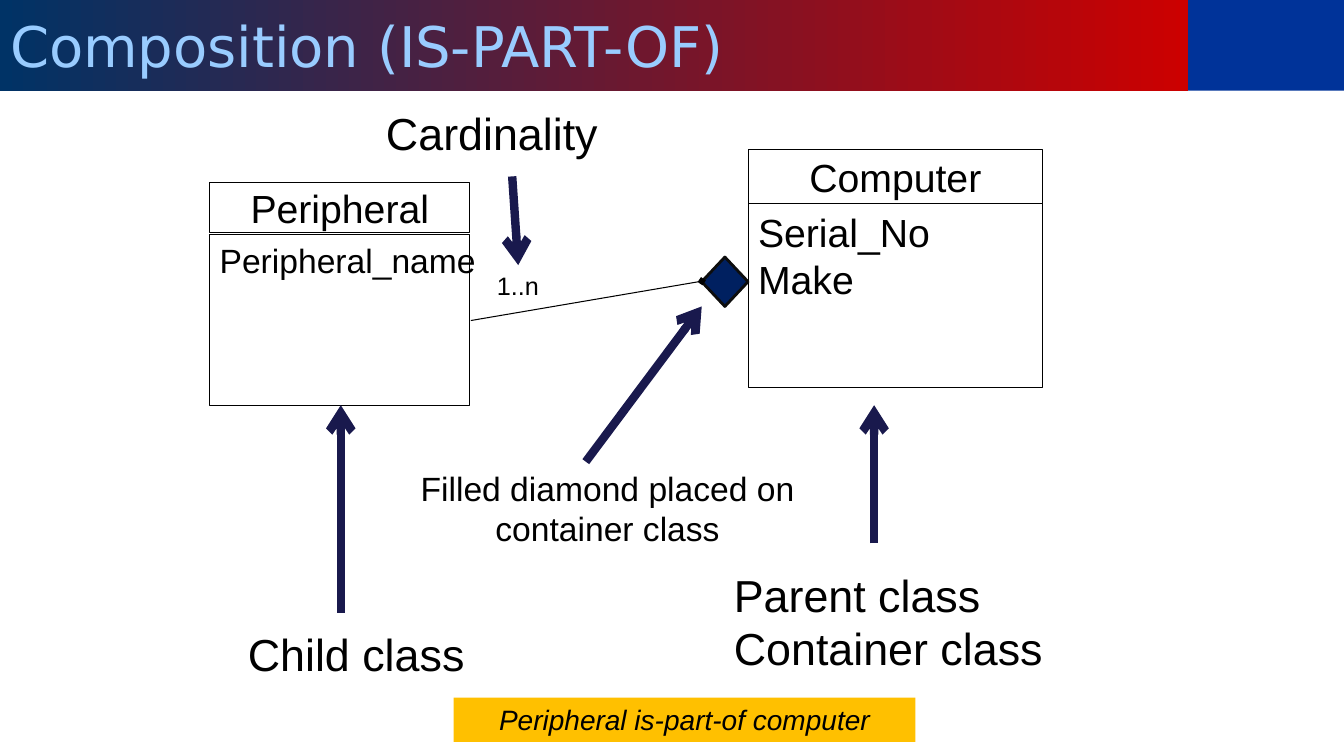
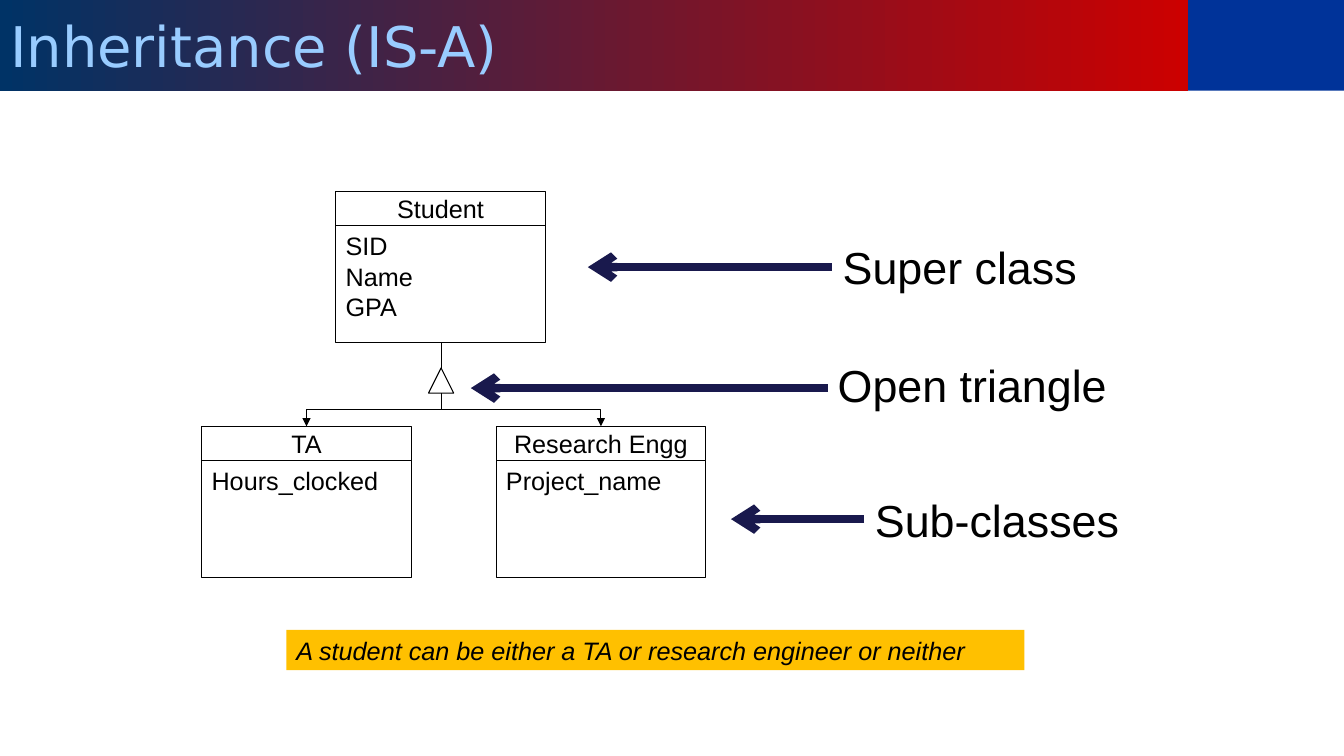
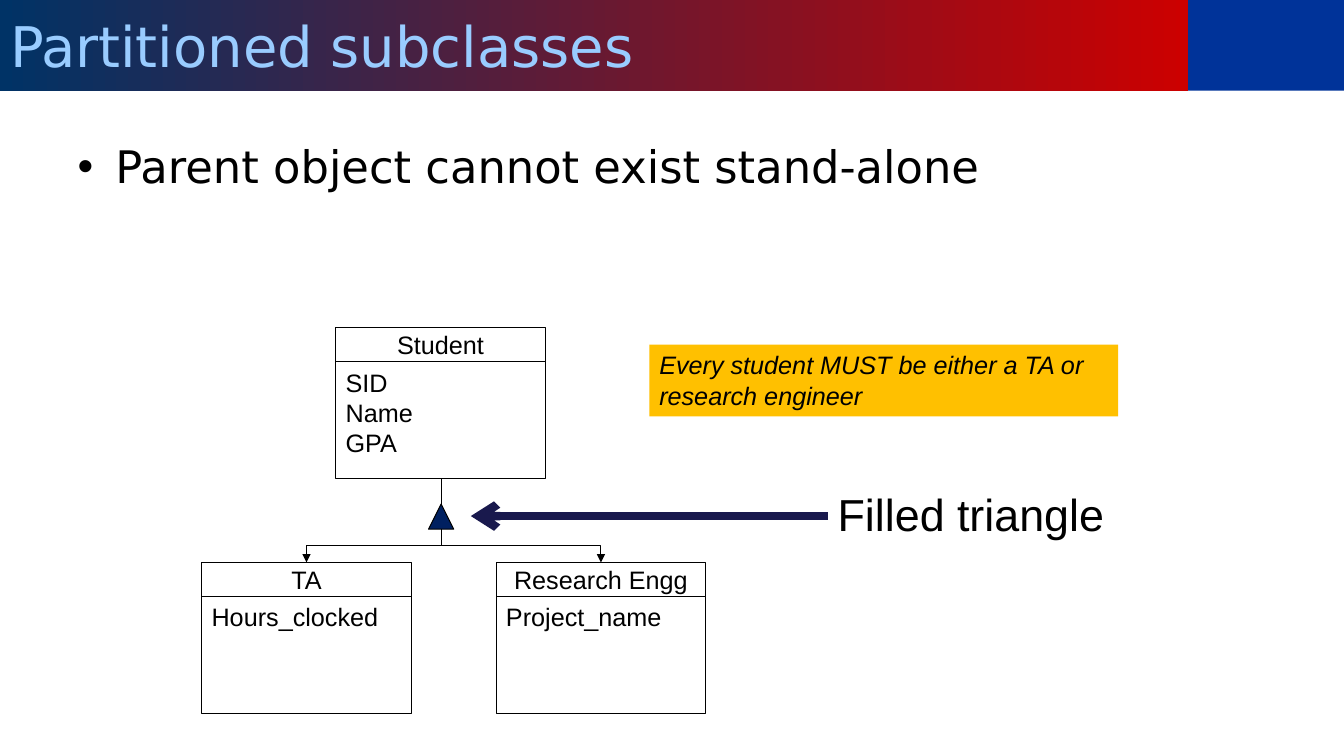
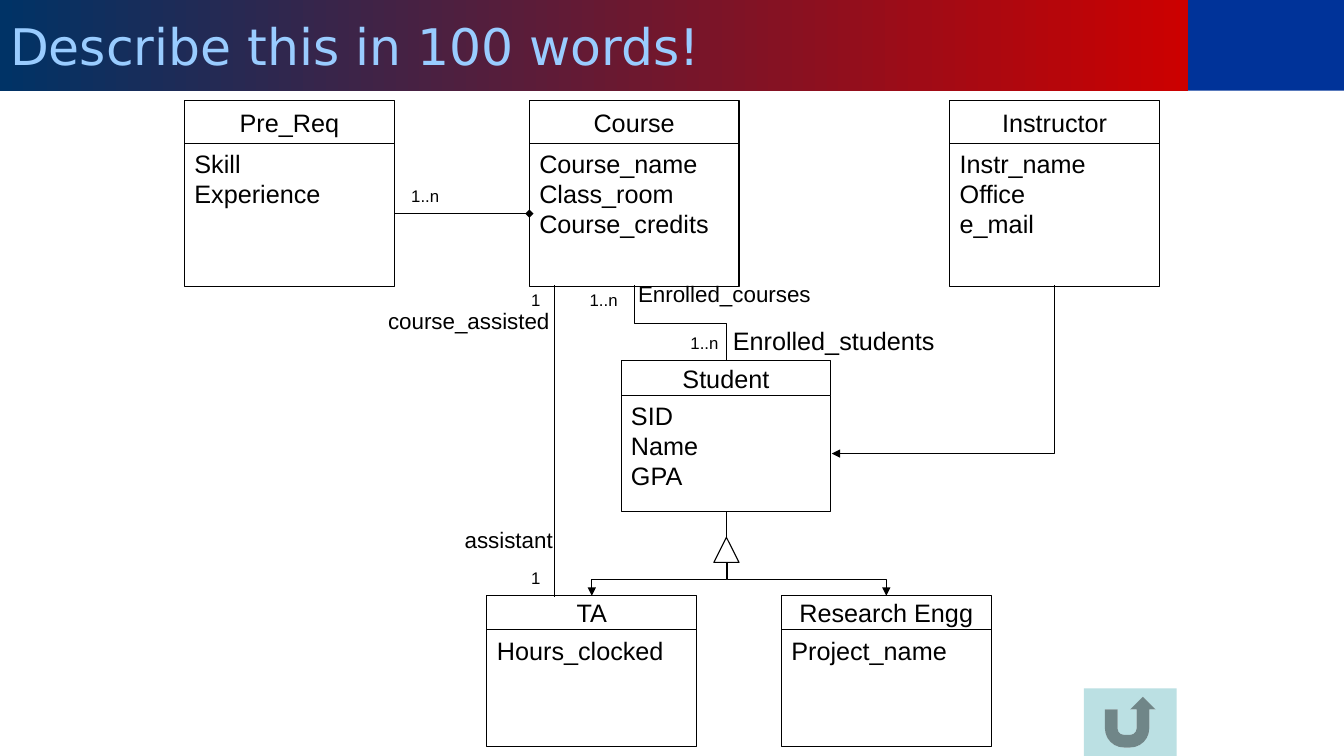
from lxml import etree
from pptx import Presentation
from pptx.dml.color import RGBColor
from pptx.enum.shapes import MSO_CONNECTOR, MSO_SHAPE
from pptx.enum.text import MSO_ANCHOR, MSO_AUTO_SIZE, PP_ALIGN
from pptx.oxml.ns import qn
from pptx.text.text import Font
from pptx.util import Inches, Pt

BLACK = RGBColor(0x00, 0x00, 0x00)
WHITE = RGBColor(0xFF, 0xFF, 0xFF)
NAVY = RGBColor(0x00, 0x20, 0x60)
NEAR_BLACK = RGBColor(0x0D, 0x0D, 0x0D)
POINTER = RGBColor(0x19, 0x19, 0x4D)
AMBER = RGBColor(0xFF, 0xC0, 0x00)
BUTTON = RGBColor(0xBB, 0xE0, 0xE3)
CORNER = RGBColor(0x00, 0x33, 0x99)
BAND_START = RGBColor(0x00, 0x33, 0x66)
BAND_END = RGBColor(0xCC, 0x00, 0x00)
TITLE_TEXT = RGBColor(0x99, 0xCC, 0xFF)

RECTANGLE = MSO_SHAPE.RECTANGLE
LEFT, CENTER = PP_ALIGN.LEFT, PP_ALIGN.CENTER
TOP, MIDDLE = MSO_ANCHOR.TOP, MSO_ANCHOR.MIDDLE
STRAIGHT, ELBOW = MSO_CONNECTOR.STRAIGHT, MSO_CONNECTOR.ELBOW

HEADING_FONT = "DejaVu Sans"
DIAGRAM_FONT = "Arial"
BAND_WIDTH, BAND_HEIGHT = 11.78, 0.9
CLASS_WIDTH = 2.08


def write_text(shape, text, size, align=LEFT, anchor=TOP, wrap=False, italic=False):
    frame = shape.text_frame
    frame.text = text
    frame.word_wrap = wrap
    frame.vertical_anchor = anchor
    for paragraph in frame.paragraphs:
        paragraph.alignment = align
        paragraph.font.name = DIAGRAM_FONT
        paragraph.font.size = Pt(size)
        paragraph.font.italic = italic
        paragraph.font.color.rgb = BLACK


def draw_line(slide, start, end, color=BLACK, width=0.75, head=None, tail=None, bend=None):
    """Draw a straight line, or with bend (a preset name) an elbow that leaves downwards."""
    (x1, y1), (x2, y2) = start, end
    if bend:
        # The elbow is laid out sideways about its centre, then turned upright.
        mid_x, mid_y = (x1 + x2) / 2, (y1 + y2) / 2
        half_run, half_rise = abs(x2 - x1) / 2, (y2 - y1) / 2
        mirror = -1 if x2 > x1 else 1
        x1, x2 = mid_x - mirror * half_rise, mid_x + mirror * half_rise
        y1, y2 = mid_y - half_run, mid_y + half_run
    line = slide.shapes.add_connector(
        ELBOW if bend else STRAIGHT, Inches(x1), Inches(y1), Inches(x2), Inches(y2))
    line.line.color.rgb = color
    line.line.width = Pt(width)
    properties = line.element.spPr
    if bend:
        properties.find(qn("a:prstGeom")).set("prst", bend)
        properties.find(qn("a:xfrm")).set("rot", str((90 if mirror == 1 else 270) * 60000))
    for tag, kind in (("a:headEnd", head), ("a:tailEnd", tail)):
        if kind:
            etree.SubElement(properties.find(qn("a:ln")), qn(tag), type=kind)
    etree.SubElement(properties, qn("a:effectLst"))


prs = Presentation()
prs.slide_width, prs.slide_height = Inches(13.33), Inches(7.5)

# Shared title band, body area and text styles
master = prs.slide_master
title_area, body_area = master.placeholders[0], master.placeholders[1]
for area, (x, y, w, h) in ((title_area, (0, 0, BAND_WIDTH, BAND_HEIGHT)),
                           (body_area, (0.67, 1.33, 12, 5.37))):
    area.left, area.top, area.width, area.height = Inches(x), Inches(y), Inches(w), Inches(h)
title_area.fill.gradient()
title_area.fill.gradient_angle = 0
for stop, color in zip(title_area.fill.gradient_stops, (BAND_START, BAND_END)):
    stop.color.rgb = color

styles = master.element.find(qn("p:txStyles"))
title_level = styles.find(qn("p:titleStyle")).find(qn("a:lvl1pPr"))
title_level.set("algn", "l")
title_font = Font(title_level.find(qn("a:defRPr")))
title_font.name, title_font.size = HEADING_FONT, Pt(40)
title_font.color.rgb = TITLE_TEXT
body_level = styles.find(qn("p:bodyStyle")).find(qn("a:lvl1pPr"))
Font(body_level.find(qn("a:defRPr"))).name = HEADING_FONT

title_only, title_and_body = prs.slide_layouts[5], prs.slide_layouts[1]
slides = []
for title, layout in (("Composition (IS-PART-OF)", title_only),
                      ("Inheritance (IS-A)", title_only),
                      ("Partitioned subclasses", title_and_body),
                      ("Describe this in 100 words!", title_only)):
    slide = prs.slides.add_slide(layout)
    slide.shapes.title.text = title
    slides.append(slide)
composition, inheritance, partition, exercise = slides
exercise.shapes.title.text_frame.paragraphs[0].font.size = Pt(36)
partition.placeholders[1].text = "Parent object cannot exist stand-alone"

# The corner block goes behind everything on the master
corner = composition.shapes.add_shape(
    RECTANGLE, Inches(BAND_WIDTH), 0, Inches(1.56), Inches(BAND_HEIGHT))
corner.shadow.inherit = False
corner.fill.solid()
corner.fill.fore_color.rgb = CORNER
corner.line.fill.background()
master.shapes.element.insert(2, corner.element)

# Classes: slide, name, attributes, left, top, width,
# name height, attributes offset and height, name size, attributes size
classes = [
    (composition, "Computer", "Serial_No\nMake", 7.42, 1.48, 2.92, 0.54, 0.54, 1.82, 28, 28),
    (composition, "Peripheral", "Peripheral_name", 2.08, 1.81, 2.58, 0.5, 0.52, 1.69, 28, 24),
]
for name, attributes, left in (("Course", "Course_name\nClass_room\nCourse_credits", 5.25),
                               ("Instructor", "Instr_name\nOffice\ne_mail", 9.42),
                               ("Pre_Req", "Skill\nExperience", 1.83)):
    classes.append((exercise, name, attributes, left, 1, CLASS_WIDTH, 0.42, 0.42, 1.42, 18, 18))

# Student hierarchies: slide, left, top, triangle fill
hierarchies = [(inheritance, 2, 1.9, None), (partition, 2, 3.25, NAVY),
               (exercise, 4.83, 3.58, None)]
for slide, left, top, _ in hierarchies:
    for name, attributes, dx, dy in (("Student", "SID\nName\nGPA", 1.33, 0),
                                     ("TA", "Hours_clocked", 0, 2.33),
                                     ("Research Engg", "Project_name", 2.92, 2.33)):
        classes.append((slide, name, attributes, left + dx, top + dy, CLASS_WIDTH,
                        0.34, 0.34, 1.16, 18, 18))

for (slide, name, attributes, left, top, width, name_height,
     offset, attributes_height, name_size, attributes_size) in classes:
    for text, y, height, size, align, anchor in (
            (name, top, name_height, name_size, CENTER, MIDDLE),
            (attributes, top + offset, attributes_height, attributes_size, LEFT, TOP)):
        section = slide.shapes.add_shape(
            RECTANGLE, Inches(left), Inches(y), Inches(width), Inches(height))
        section.shadow.inherit = False
        section.fill.solid()
        section.fill.fore_color.rgb = WHITE
        section.line.color.rgb = BLACK
        section.line.width = Pt(0.75)
        write_text(section, text, size, align, anchor)

# Symbols: slide, preset, left, top, width, height, fill, line colour, line width
symbols = [
    (composition, MSO_SHAPE.DIAMOND, 6.96, 2.55, 0.46, 0.49, NAVY, NEAR_BLACK, 2),
    (exercise, MSO_SHAPE.ACTION_BUTTON_RETURN, 10.75, 6.83, 0.92, 0.67, BUTTON, None, 0),
]
for slide, left, top, fill in hierarchies:
    axis, tip, fork = left + 2.38, top + 1.75, top + 2
    symbols.append((slide, MSO_SHAPE.ISOSCELES_TRIANGLE, axis - 0.13, tip, 0.25, 0.25,
                    fill, BLACK, 0.75))
    draw_line(slide, (axis, top + 1.5), (axis, tip))
    for child_axis in (left + 1.04, left + 3.96):
        draw_line(slide, (axis, fork), (child_axis, top + 2.33),
                  tail="triangle", bend="bentConnector3")

for slide, preset, left, top, width, height, fill, line_color, line_width in symbols:
    symbol = slide.shapes.add_shape(
        preset, Inches(left), Inches(top), Inches(width), Inches(height))
    symbol.shadow.inherit = False
    if fill is None:
        symbol.fill.background()
    else:
        symbol.fill.solid()
        symbol.fill.fore_color.rgb = fill
    if line_color is None:
        symbol.line.fill.background()
    else:
        symbol.line.color.rgb = line_color
        symbol.line.width = Pt(line_width)

# Associations
draw_line(composition, (6.96, 2.79), (4.67, 3.18), head="diamond")
draw_line(exercise, (5.25, 2.12), (3.92, 2.12), head="diamond")
draw_line(exercise, (5.5, 5.92), (5.5, 2.83))
draw_line(exercise, (6.29, 2.83), (7.21, 3.58), bend="bentConnector3")
draw_line(exercise, (10.46, 2.83), (8.25, 4.5), tail="triangle", bend="bentConnector2")

# Thick pointers from the explanations to the diagram
for slide, start, end in (
        (composition, (3.38, 6.08), (3.38, 4.02)),
        (composition, (8.67, 5.39), (8.67, 4.02)),
        (composition, (5.81, 4.58), (6.96, 3.04)),
        (composition, (5.08, 1.75), (5.14, 2.63)),
        (inheritance, (8.25, 2.65), (5.83, 2.65)),
        (inheritance, (8.57, 5.15), (7.25, 5.15)),
        (inheritance, (8.21, 3.85), (4.67, 3.85)),
        (partition, (8.21, 5.12), (4.67, 5.12))):
    draw_line(slide, start, end, POINTER, 6, tail="arrow")

# One-line labels: slide, text, left, top, width, height, size
for slide, text, left, top, width, height, size in (
        (composition, "1..n", 4.83, 2.63, 0.62, 0.4, 18),
        (composition, "Parent class\nContainer class", 7.18, 5.58, 3.29, 1.18, 32),
        (composition, "Child class", 2.36, 6.17, 2.37, 0.64, 32),
        (composition, "Cardinality", 3.73, 1, 2.32, 0.64, 32),
        (inheritance, "Super class", 8.26, 2.33, 2.54, 0.64, 32),
        (inheritance, "Sub-classes", 8.58, 4.84, 2.64, 0.64, 32),
        (inheritance, "Open triangle", 8.21, 3.5, 2.89, 0.64, 32),
        (partition, "Filled triangle", 8.21, 4.78, 2.87, 0.64, 32),
        (exercise, "Enrolled_students", 7.17, 3.18, 2.2, 0.4, 18),
        (exercise, "Enrolled_courses", 6.23, 2.73, 1.91, 0.37, 16),
        (exercise, "course_assisted", 3.75, 3, 1.81, 0.37, 16),
        (exercise, "assistant", 4.51, 5.17, 1.08, 0.37, 16),
        (exercise, "1..n", 3.98, 1.79, 0.48, 0.3, 12),
        (exercise, "1..n", 5.75, 2.83, 0.48, 0.3, 12),
        (exercise, "1..n", 6.75, 3.25, 0.48, 0.3, 12),
        (exercise, "1", 5.17, 2.83, 0.29, 0.3, 12),
        (exercise, "1", 5.17, 5.58, 0.29, 0.3, 12)):
    label = slide.shapes.add_textbox(Inches(left), Inches(top), Inches(width), Inches(height))
    write_text(label, text, size)
    label.text_frame.auto_size = MSO_AUTO_SIZE.SHAPE_TO_FIT_TEXT

# Wrapped notes; the amber ones state the rule in italics
for slide, text, left, top, width, height, size, align, amber in (
        (composition, "Filled diamond placed on container class",
         3.55, 4.59, 4.95, 0.91, 24, CENTER, False),
        (composition, "Peripheral is-part-of computer",
         4.5, 6.92, 4.58, 0.44, 20, CENTER, True),
        (inheritance, "A student can be either a TA or research engineer or neither",
         2.84, 6.25, 7.32, 0.4, 18, LEFT, True),
        (partition, "Every student MUST be either a TA or research engineer",
         6.44, 3.42, 4.65, 0.71, 18, LEFT, True)):
    note = slide.shapes.add_textbox(Inches(left), Inches(top), Inches(width), Inches(height))
    write_text(note, text, size, align, wrap=True, italic=amber)
    note.text_frame.auto_size = MSO_AUTO_SIZE.SHAPE_TO_FIT_TEXT
    if amber:
        note.fill.solid()
        note.fill.fore_color.rgb = AMBER

prs.save("out.pptx")
